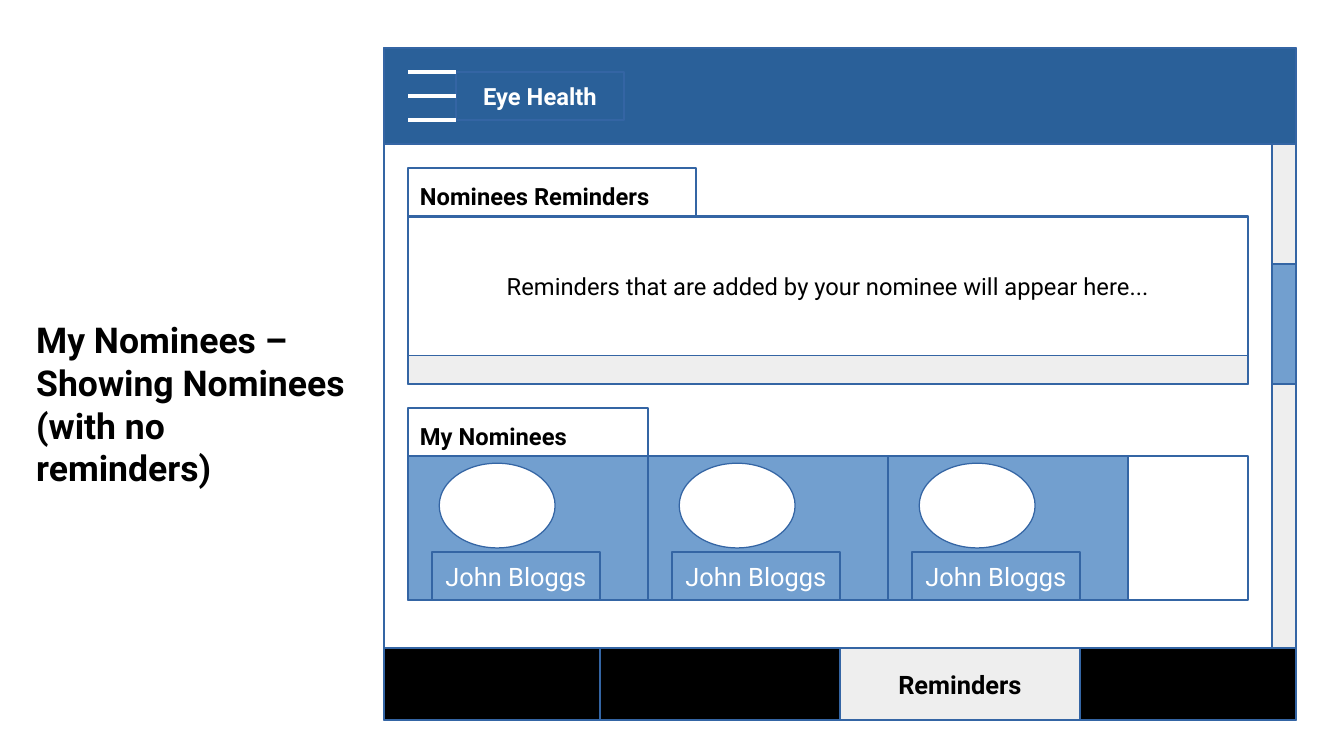
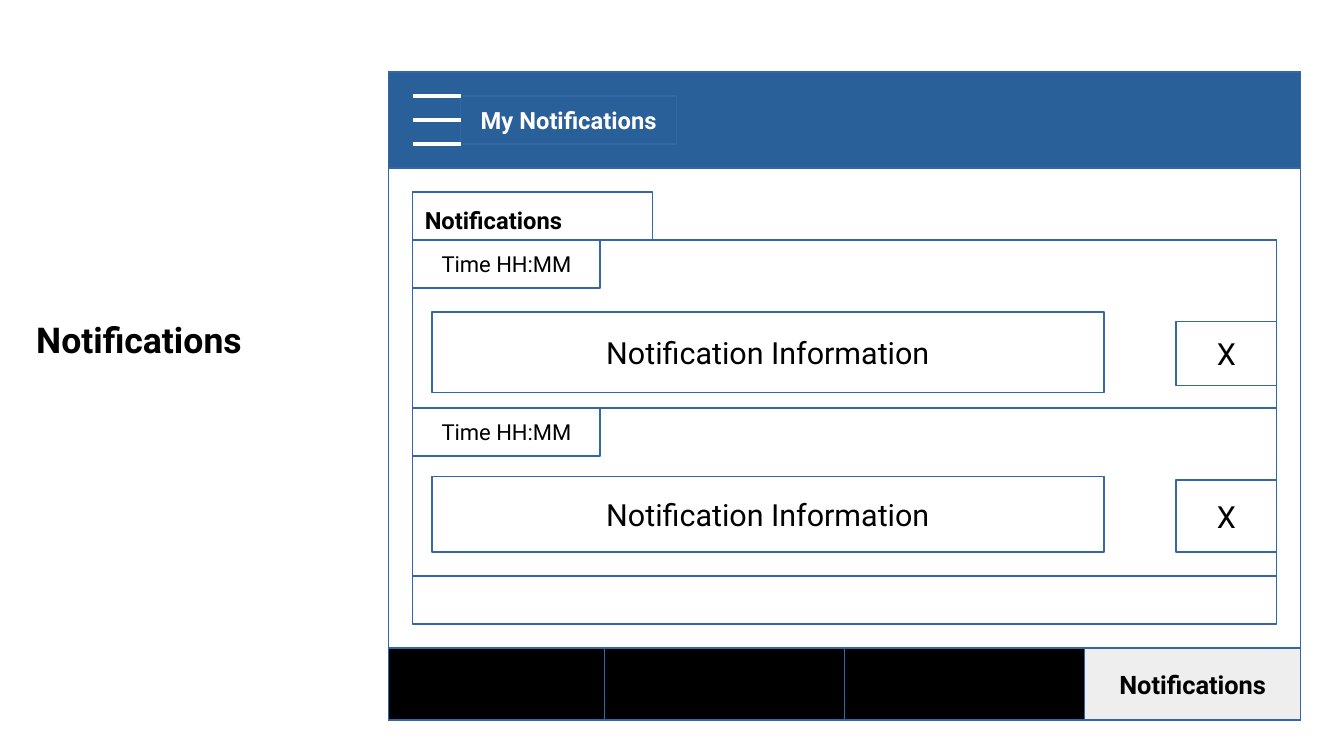
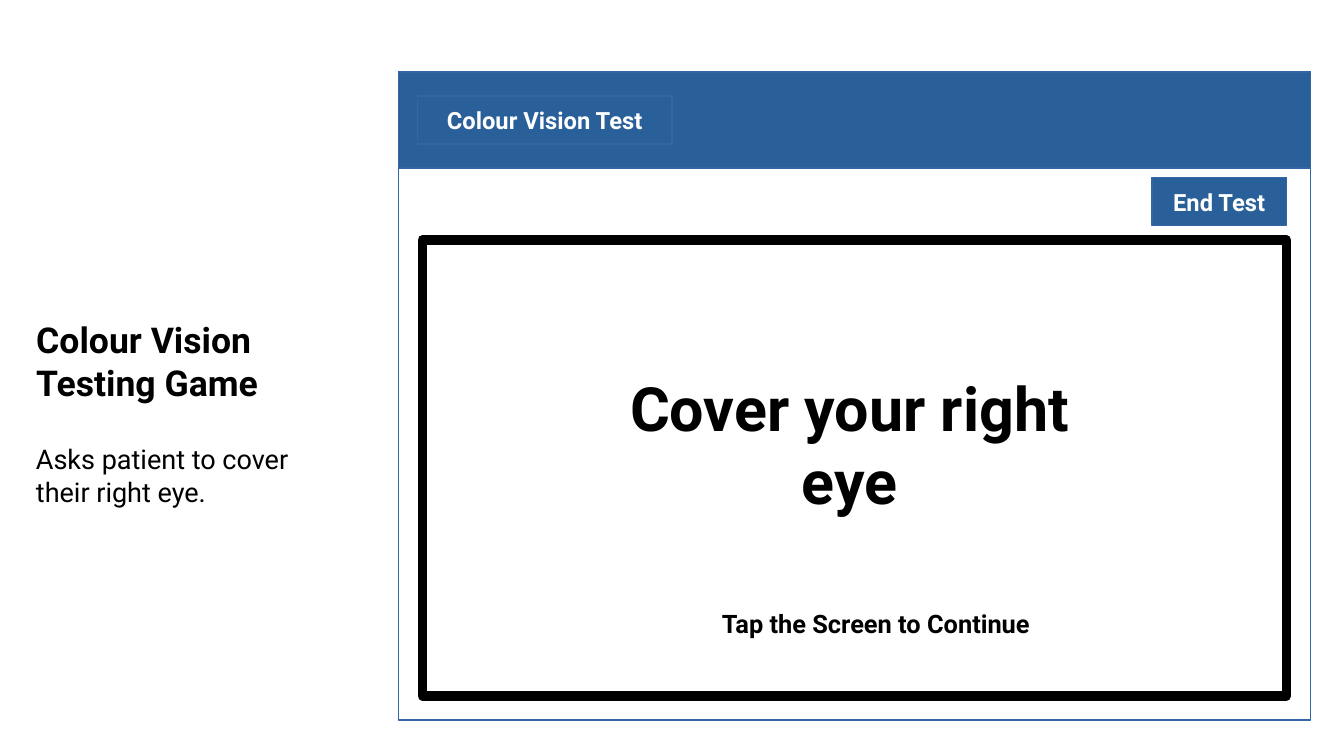
from dataclasses import dataclass
from typing import Any

from lxml import etree
from pptx import Presentation
from pptx.dml.color import RGBColor
from pptx.enum.shapes import MSO_CONNECTOR, MSO_SHAPE
from pptx.enum.text import MSO_ANCHOR, MSO_AUTO_SIZE, PP_ALIGN
from pptx.oxml.ns import qn
from pptx.util import Cm, Length, Pt

RECTANGLE, OVAL = MSO_SHAPE.RECTANGLE, MSO_SHAPE.OVAL
STRAIGHT = MSO_CONNECTOR.STRAIGHT
TOP, MIDDLE, BOTTOM = MSO_ANCHOR.TOP, MSO_ANCHOR.MIDDLE, MSO_ANCHOR.BOTTOM
LEFT, CENTER = PP_ALIGN.LEFT, PP_ALIGN.CENTER
NO_AUTOFIT = MSO_AUTO_SIZE.NONE

COLORS = {
    "white": "FFFFFF",
    "black": "000000",
    "header": "2A6099",
    "outline": "3465A4",
    "accent": "729FCF",
    "grey": "EEEEEE",
}
FONT = "Roboto"
GRID_COLUMNS, GRID_ROWS = 56, 31.5
FRAME_COLUMNS, FRAME_BOTTOM = 38, 30
HEADER_ROWS = 4
NAV_TOP, NAV_ROWS = 27, 3
NAV_EDGES = (0, 9, 19, 29, FRAME_COLUMNS)
TITLE_ONLY = 5


@dataclass(frozen=True)
class Box:
    column: float
    row: float
    columns: float
    rows: float


@dataclass(frozen=True)
class Screen:
    slide: Any
    left: float
    top: float


@dataclass(frozen=True)
class Notification:
    row: float
    information: Box
    dismiss: Box


CAPTION_BOX = Box(1, 13, 14, 7.1)
NOTIFICATIONS = (
    Notification(10, Box(1.8, 13, 28, 3.35), Box(32.8, 13.4, 4.2, 2.65)),
    Notification(17, Box(1.8, 19.85, 28, 3.15), Box(32.8, 20, 4.2, 3)),
)


def grid(units: float) -> Length:
    return Cm(units / 2)


def color(name: str) -> RGBColor:
    return RGBColor.from_string(COLORS[name])


def place(box: Box, left: float = 0) -> tuple[Length, ...]:
    return tuple(map(grid, (left + box.column, box.row, box.columns, box.rows)))


def write(frame: Any, text: str, *, size: float = 14, ink: str = "black",
          bold: bool = False, align: Any = CENTER, anchor: Any = MIDDLE) -> None:
    frame.word_wrap = True
    frame.auto_size = NO_AUTOFIT
    frame.vertical_anchor = anchor
    frame.text = text
    paragraph = frame.paragraphs[0]
    paragraph.alignment = align
    font = paragraph.runs[0].font
    font.name, font.size, font.bold = FONT, Pt(size), bold
    font.color.rgb = color(ink)


def draw(screen: Screen, box: Box, text: str = "", *, fill: str | None = "white",
         outline: str = "outline", weight: float = 0, preset: Any = RECTANGLE,
         **text_format: Any) -> None:
    shape = screen.slide.shapes.add_shape(preset, *place(box, screen.left))
    shape.shadow.inherit = False
    if fill:
        shape.fill.solid()
        shape.fill.fore_color.rgb = color(fill)
    else:
        shape.fill.background()
    shape.line.color.rgb = color(outline)
    shape.line.width = Pt(weight)
    if text:
        write(shape.text_frame, text, **text_format)


def add_text(screen: Screen, box: Box, text: str, **text_format: Any) -> None:
    label = screen.slide.shapes.add_textbox(*place(box, screen.left))
    write(label.text_frame, text, anchor=TOP, **text_format)


def add_screen(deck: Any, caption: str, left: float, top: float,
               heading: str, heading_box: Box) -> Screen:
    slide = deck.slides.add_slide(deck.slide_layouts[TITLE_ONLY])
    title = slide.shapes.title
    title.left, title.top, title.width, title.height = place(CAPTION_BOX)
    write(title.text_frame, caption, size=21, bold=True, align=LEFT, anchor=TOP)
    screen = Screen(slide, left, top)
    draw(screen, Box(0, top, FRAME_COLUMNS, FRAME_BOTTOM - top))
    draw(screen, Box(0, top, FRAME_COLUMNS, HEADER_ROWS), fill="header")
    draw(screen, heading_box, heading, fill=None, ink="white", bold=True)
    return screen


def add_menu_icon(screen: Screen) -> None:
    for step in range(1, HEADER_ROWS):
        row = grid(screen.top + step)
        bar = screen.slide.shapes.add_connector(
            STRAIGHT, grid(screen.left + 1), row, grid(screen.left + 3), row)
        bar.line.color.rgb = color("white")
        bar.line.width = Pt(2.83)
        etree.SubElement(bar._element.spPr, qn("a:effectLst"))


def add_tab(screen: Screen, row: float, columns: float, text: str) -> None:
    draw(screen, Box(1, row, columns, 2), text, bold=True, align=LEFT, anchor=BOTTOM)


def add_navigation(screen: Screen, active: int, text: str) -> None:
    for index, (start, end) in enumerate(zip(NAV_EDGES, NAV_EDGES[1:])):
        selected = index == active
        draw(screen, Box(start, NAV_TOP, end - start, NAV_ROWS),
             text if selected else "", fill="grey" if selected else "black",
             size=15, bold=True)


def add_nominee(screen: Screen, column: float, name: str) -> None:
    draw(screen, Box(column, 19, 10, 6), fill="accent")
    draw(screen, Box(column + 1.3, 19.3, 4.83, 3.53), preset=OVAL)
    draw(screen, Box(column + 1, 23, 7, 2), name, fill="accent", size=15, ink="white")


def build_nominees(deck: Any) -> None:
    screen = add_screen(deck, "My Nominees – Showing Nominees (with no reminders)",
                        16, 2, "Eye Health", Box(3, 3, 7, 2))
    add_menu_icon(screen)
    draw(screen, Box(1, 9, 35, 7))
    draw(screen, Box(1, 14.8, 35, 1.2), fill="grey")
    draw(screen, Box(1, 19, 35, 6))
    add_tab(screen, 7, 12, "Nominees Reminders")
    add_tab(screen, 17, 10, "My Nominees")
    add_navigation(screen, 2, "Reminders")
    draw(screen, Box(1, 9.05, 35, 5.75),
         "Reminders that are added by your nominee will appear here...")
    draw(screen, Box(37, 6, 1, 21), fill="grey")
    draw(screen, Box(37, 11, 1, 5), fill="accent")
    for position in range(3):
        add_nominee(screen, 1 + 10 * position, "John Bloggs")


def build_notifications(deck: Any) -> None:
    screen = add_screen(deck, "Notifications", 16.2, 3,
                        "My Notifications", Box(3, 4, 9, 2))
    add_menu_icon(screen)
    draw(screen, Box(1, 10, 36, 16))
    add_tab(screen, 8, 10, "Notifications")
    add_navigation(screen, 3, "Notifications")
    for notification in NOTIFICATIONS:
        draw(screen, Box(1, notification.row, 36, 7))
        draw(screen, notification.information, "Notification Information", size=18)
        draw(screen, Box(1, notification.row, 7.8, 2), "Time HH:MM", size=13)
        draw(screen, notification.dismiss, "X", size=18)


def build_vision_test(deck: Any) -> None:
    screen = add_screen(deck, "Colour Vision Testing Game", 16.6, 3,
                        "Colour Vision Test", Box(0.8, 4, 10.6, 2))
    draw(screen, Box(1, 10, 36, 19), outline="black", weight=5.67)
    draw(screen, Box(31.4, 7.4, 5.6, 2), "End Test", fill="header",
         ink="white", bold=True)
    add_text(screen, Box(1 - screen.left, 18.2, 14, 3),
             "Asks patient to cover their right eye.", size=16, align=LEFT)
    add_text(screen, Box(7.2, 15.2, 23.2, 6.2), "Cover your right eye",
             size=36, bold=True)
    add_text(screen, Box(10.4, 25.1, 19, 1.7), "Tap the Screen to Continue",
             size=15, bold=True)


def main() -> None:
    deck = Presentation()
    deck.slide_width, deck.slide_height = grid(GRID_COLUMNS), grid(GRID_ROWS)
    build_nominees(deck)
    build_notifications(deck)
    build_vision_test(deck)
    deck.save("out.pptx")


if __name__ == "__main__":
    main()
